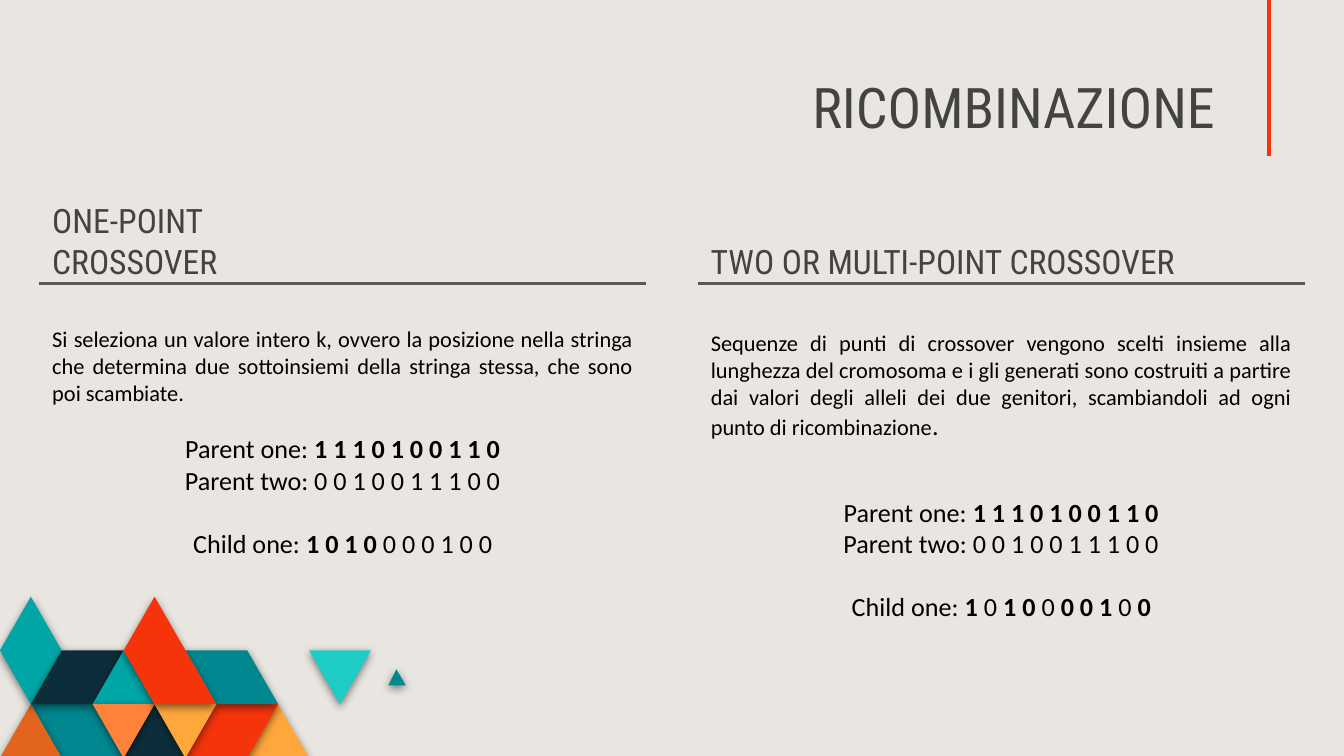
from lxml import etree
from pptx import Presentation
from pptx.dml.color import RGBColor
from pptx.enum import shapes, text
from pptx.oxml import ns
from pptx.util import Inches, Pt

BACKGROUND = RGBColor(0xE9, 0xE6, 0xE1)
HEADING = RGBColor(0x43, 0x43, 0x43)
BODY = RGBColor(0x00, 0x00, 0x00)
RULE = RGBColor(0x59, 0x59, 0x59)
RED = RGBColor(0xF5, 0x34, 0x0B)
AMBER = RGBColor(0xFF, 0xA7, 0x3B)
ORANGE = RGBColor(0xFF, 0x82, 0x3B)
RUST = RGBColor(0xE3, 0x65, 0x1D)
TEAL = RGBColor(0x01, 0x87, 0x90)
AQUA = RGBColor(0x00, 0xA6, 0xA6)
TURQUOISE = RGBColor(0x1D, 0xCD, 0xC3)
NAVY = RGBColor(0x0C, 0x2E, 0x3A)
HEADING_FONT, BODY_FONT = "Roboto Condensed", "Calibri"

# Content: every paragraph is a list of (text, size, bold)
TITLE = "RICOMBINAZIONE"
PARENTS = [
    [("Parent one: ", 14, False), ("1 1 1 0 1 0 0 1 1 0", 14, True)],
    [("Parent two: 0 0 1 0 0 1 1 1 0 0", 14, False)],
]
COLUMNS = [
    {
        "left": 0.29, "heading": "ONE-POINT CROSSOVER", "heading_width": 2.35,
        "body": [("Si seleziona un valore intero k, ovvero la posizione nella stringa "
                  "che determina due sottoinsiemi della stringa stessa, che sono poi "
                  "scambiate.", 12, False)],
        "body_top": 2.32, "body_height": 0.8, "example_top": 3.12,
        "child": [("Child one: ", 14, False), ("1 0 1 0", 14, True),
                  (" 0 0 0 1 0 0", 14, False)],
    },
    {
        "left": 5.19, "heading": "TWO OR MULTI-POINT CROSSOVER", "heading_width": 3.96,
        "body": [("Sequenze di punti di crossover vengono scelti insieme alla lunghezza "
                  "del cromosoma e i gli generati sono costruiti a partire dai valori "
                  "degli alleli dei due genitori, scambiandoli ad ogni punto di "
                  "ricombinazione", 12, False), (".", 14, False)],
        "body_top": 2.35, "body_height": 1.5, "example_top": 3.59,
        "child": [("Child one: ", 14, False), ("1 ", 14, True), ("0 ", 14, False),
                  ("1 0", 14, True), (" 0 ", 14, False), ("0 0 1 ", 14, True),
                  ("0 ", 14, False), ("0", 14, True)],
    },
]
COLUMN_WIDTH, RULE_TOP = 4.52, 2.11

# Mosaic tiles: colour and corners as (column, row) of a triangular lattice
LATTICE_TOP, LATTICE_X, LATTICE_Y = 4.44, 0.23, 0.4
TILES = [
    (AMBER, [(10, 3), (9, 2), (8, 3)]),
    (RED, [(9, 2), (7, 2), (6, 3), (8, 3)]),
    (TEAL, [(4, 3), (3, 2), (1, 2), (2, 3)]),
    (RUST, [(2, 3), (1, 2), (0, 3)]),
    (NAVY, [(6, 3), (5, 2), (4, 3)]),
    (TEAL, [(9, 2), (8, 1), (6, 1), (7, 2)]),
    (TURQUOISE, [(12, 1), (10, 1), (11, 2)]),
    (AQUA, [(2, 1), (1, 0), (0, 1), (1, 2)]),
    (NAVY, [(4, 1), (2, 1), (1, 2), (3, 2)]),
    (AQUA, [(5, 2), (4, 1), (3, 2)]),
    (ORANGE, [(5, 2), (3, 2), (4, 3)]),
    (AMBER, [(7, 2), (5, 2), (6, 3)]),
    (RED, [(7, 2), (5, 0), (4, 1), (5, 2)]),
]
SMALL_TRIANGLE = [(3.02, 5.1), (2.95, 4.98), (2.89, 5.1)]


def add_tile(slide, color, corners):
    points = [(Inches(x), Inches(y)) for x, y in corners]
    builder = slide.shapes.build_freeform(*points[0])
    builder.add_line_segments(points[1:], close=True)
    tile = builder.convert_to_shape()
    tile.fill.solid()
    tile.fill.fore_color.rgb = color
    tile.line.fill.background()
    tile.shadow.inherit = False
    effects = tile._element.spPr.find(ns.qn("a:effectLst"))
    shadow = etree.SubElement(effects, ns.qn("a:outerShdw"), blurRad=str(Pt(4.5)),
                              dist=str(Pt(1.5)), dir="5400000", algn="bl", rotWithShape="0")
    black = etree.SubElement(shadow, ns.qn("a:srgbClr"), val="000000")
    etree.SubElement(black, ns.qn("a:alpha"), val="50000")


def add_line(slide, start, end, color, width):
    line = slide.shapes.add_connector(
        shapes.MSO_CONNECTOR.STRAIGHT, *(Inches(value) for value in start + end))
    line.line.color.rgb = color
    line.line.width = Pt(width)
    etree.SubElement(line._element.spPr, ns.qn("a:effectLst"))


def add_text(slide, box, paragraphs, align, font=BODY_FONT, color=BODY,
             anchor=text.MSO_ANCHOR.TOP):
    frame = slide.shapes.add_textbox(*(Inches(value) for value in box)).text_frame
    frame.word_wrap = True
    frame.vertical_anchor = anchor
    frame.margin_left = frame.margin_right = Inches(0.1)
    frame.margin_top = frame.margin_bottom = Inches(0.1)
    for index, pieces in enumerate(paragraphs):
        paragraph = frame.paragraphs[0] if index == 0 else frame.add_paragraph()
        paragraph.alignment = align
        for content, size, bold in pieces:
            run = paragraph.add_run()
            run.text = content
            run.font.name = font
            run.font.size = Pt(size)
            run.font.bold = bold
            run.font.color.rgb = color
    return frame


def add_heading(slide, box, content, size, align):
    add_text(slide, box, [[(content, size, False)]], align,
             HEADING_FONT, HEADING, text.MSO_ANCHOR.BOTTOM)


def main():
    presentation = Presentation()
    presentation.slide_width = Inches(10)
    presentation.slide_height = Inches(10) * 9 // 16
    slide = presentation.slides.add_slide(presentation.slide_layouts[6])
    slide.background.fill.solid()
    slide.background.fill.fore_color.rgb = BACKGROUND

    # Mosaic
    for color, cells in TILES:
        add_tile(slide, color, [(column * LATTICE_X, LATTICE_TOP + row * LATTICE_Y)
                                for column, row in cells])
    add_tile(slide, TEAL, SMALL_TRIANGLE)

    # Title and its accent line
    add_line(slide, (9.44, 0), (9.44, 1.16), RED, 2.25)
    add_heading(slide, (0.29, 0.51, 8.85, 0.63), TITLE, 30, text.PP_ALIGN.RIGHT)

    # Two columns: rule, heading, explanation, example
    for column in COLUMNS:
        left = column["left"]
        add_line(slide, (left, RULE_TOP), (left + COLUMN_WIDTH, RULE_TOP), RULE, 1.5)
        add_heading(slide, (left, 1.56, column["heading_width"], 0.63),
                    column["heading"], 18, text.PP_ALIGN.LEFT)
        add_text(slide, (left, column["body_top"], COLUMN_WIDTH, column["body_height"]),
                 [column["body"]], text.PP_ALIGN.JUSTIFY)
        example = add_text(
            slide, (left + 0.02, column["example_top"], COLUMN_WIDTH - 0.04, 1.11),
            PARENTS + [column["child"]], text.PP_ALIGN.CENTER)
        example.paragraphs[-1].space_before = Pt(17)

    presentation.save("out.pptx")


if __name__ == "__main__":
    main()
